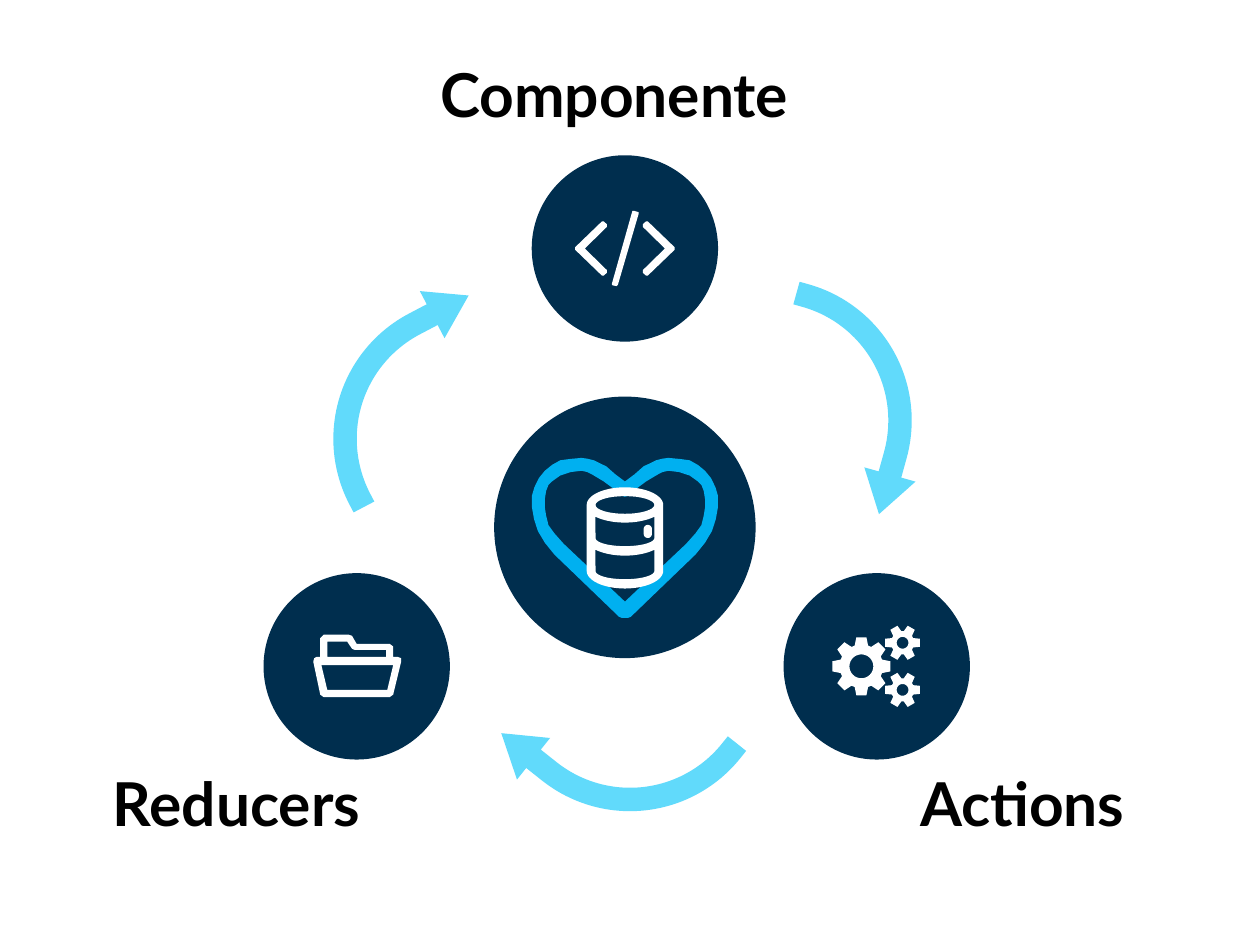
from dataclasses import dataclass
from math import cos, pi, radians, sin

from pptx import Presentation
from pptx.dml.color import RGBColor
from pptx.enum.shapes import MSO_SHAPE
from pptx.enum.text import MSO_ANCHOR, MSO_AUTO_SIZE, PP_ALIGN
from pptx.util import Pt


@dataclass(frozen=True)
class Theme:
    navy: RGBColor = RGBColor(0x00, 0x2E, 0x4E)
    cyan: RGBColor = RGBColor(0x61, 0xDA, 0xFB)
    blue: RGBColor = RGBColor(0x00, 0xB0, 0xF0)
    white: RGBColor = RGBColor(0xFF, 0xFF, 0xFF)
    black: RGBColor = RGBColor(0x00, 0x00, 0x00)
    font: str = "Lato"
    size: int = 37


THEME = Theme()
UNITS = 100  # freeform steps per point


# Outlines, in points around the centre of a circle
def arc(x, y, wide, high, start=0, end=360, steps=32):
    turns = [radians(start + (end - start) * i / steps) for i in range(steps + 1)]
    return [(x + wide * cos(t), y + high * sin(t)) for t in turns]


def flip(points):
    return [(-x, y) for x, y in reversed(points)]


def gear(x, y, teeth, tip, root, hole):
    pitch = 2 * pi / teeth
    rim = []
    for i in range(teeth):
        for part, r in ((-0.4, root), (-0.22, tip), (0.22, tip), (0.4, root)):
            turn = (i + part) * pitch
            rim.append((x + r * cos(turn), y + r * sin(turn)))
    return [rim, arc(x, y, hole, hole)]


def panel(top, base):
    """A curved panel of the barrel; top and base are its middle heights."""
    return arc(0, top - 12.3, 25.5, 12.3, 135, 45) + arc(0, base - 5, 18, 5, 0, 180)


CHEVRON = [(-14, -16.6), (-30.5, -0.7), (-30.5, 0.7), (-14, 16.6), (-12.9, 16.6),
           (-11, 14.8), (-11, 13.2), (-24.5, 0), (-11, -13.2), (-11, -14.8),
           (-12.9, -16.6)]
SLASH = [(4.6, -23), (5.8, -23), (8.5, -22.2), (8.5, -21.4), (-4.3, 22.3),
         (-5.2, 23), (-7.6, 22.5), (-8, 21.8)]
CODE = [CHEVRON, flip(CHEVRON), SLASH]

GEARS = (gear(-9.4, 0, 8, 18, 13.3, 7.3)
         + gear(15.8, -14.4, 6, 10.9, 7.1, 3.6)
         + gear(15.8, 14.4, 6, 10.9, 7.1, 3.6))

FOLDER = [
    [(27.2, -5), (25, -5.8), (22.3, -5.8), (22.3, -12.2), (20.2, -13.7), (0, -13.7),
     (-2.9, -18.7), (-5, -19.4), (-20.2, -19.4), (-22.3, -17.3), (-22.3, -5.8),
     (-24.5, -5.8), (-26, -5), (-26.6, -2.9), (-22.3, 17.3), (-20.2, 18.8),
     (20.2, 18.8), (22.3, 17.3), (27.2, -2.9)],
    [(-18, -15.1), (-5.8, -15.1), (-2.9, -10.8), (-1.4, -10.1), (18, -10.1),
     (18, -5.8), (-18, -5.8)],
    [(18.7, 14.4), (-18, 14.4), (-21.6, -0.7), (22.3, -0.7)],
]

OUTER = [(0, -28.1), (5.8, -32.4), (11.5, -37.4), (15, -39), (19, -41), (23, -42),
         (26.6, -42.5), (33.8, -41.8), (39.6, -41), (44.6, -38.2), (49, -34.6),
         (52.6, -30.2), (55.4, -24.5), (56.9, -19.4), (56.9, -12.2), (55.6, -5),
         (53.3, 2.2), (49, 9.4), (43.2, 16.6), (3.6, 54.7), (1.8, 55.4)]
INNER = [(0, -18.7), (2.2, -19.4), (3.6, -20.2), (7.2, -23.8), (13, -28.1),
         (20.2, -32.4), (23, -33.8), (26.6, -34.6), (33.1, -33.8), (39.6, -31.7),
         (44.6, -28.1), (46.8, -25.9), (48.2, -22.3), (49, -17.3), (49, -12.2),
         (48.2, -7.2), (46.8, -1.4), (43.2, 3.6), (37.4, 10.1), (0, 45.4)]
HEART = [half + flip(half) for half in (OUTER, INNER)]

BARREL = [
    arc(0, -13.7, 23.4, 10.8, 180, 360) + arc(0, 26.6, 23.4, 10.8, 0, 180),
    arc(0, -13.7, 18, 5.4),
    panel(-2.9, 11.5),
    panel(17.3, 31.7),
    arc(14, 1, 2.5, 2.5, 180, 360) + arc(14, 4, 2.5, 2.5, 0, 180),
]


def paint(shape, color):
    shape.shadow.inherit = False
    shape.fill.solid()
    shape.fill.fore_color.rgb = color
    shape.line.fill.background()


def disc(slide, box):
    paint(slide.shapes.add_shape(MSO_SHAPE.OVAL, *map(Pt, box)), THEME.navy)


def icon(slide, box, paths, color):
    left, top, width, height = box
    mid_x, mid_y = left + width / 2, top + height / 2
    pen = None
    for path in paths:
        first, *rest = [((mid_x + x) * UNITS, (mid_y + y) * UNITS) for x, y in path]
        if pen is None:
            pen = slide.shapes.build_freeform(*first, scale=Pt(1) / UNITS)
        else:
            pen.move_to(*first)
        pen.add_line_segments(rest, close=True)
    paint(pen.convert_to_shape(), color)


# Regions
def hub(slide, box):
    disc(slide, box)
    icon(slide, box, HEART, THEME.blue)
    icon(slide, box, BARREL, THEME.white)


def node(slide, box, paths):
    disc(slide, box)
    icon(slide, box, paths, THEME.white)


def arrow(slide, box, turn):
    shape = slide.shapes.add_shape(MSO_SHAPE.BENT_ARROW, *map(Pt, box))
    for i, value in enumerate((0.142, 0.161, 0.249, 0.857)):
        shape.adjustments[i] = value
    shape.rotation = turn
    paint(shape, THEME.cyan)


def label(shape, box, text):
    shape.left, shape.top, shape.width, shape.height = map(Pt, box)
    frame = shape.text_frame
    frame.word_wrap = True
    frame.auto_size = MSO_AUTO_SIZE.NONE
    frame.vertical_anchor = MSO_ANCHOR.TOP
    frame.margin_left = frame.margin_top = frame.margin_right = frame.margin_bottom = 0
    line = frame.paragraphs[0]
    line.alignment = PP_ALIGN.LEFT
    line.line_spacing = 0.9
    run = line.add_run()
    run.text = text
    run.font.name = THEME.font
    run.font.size = Pt(THEME.size)
    run.font.bold = True
    run.font.color.rgb = THEME.black


def cycle(slide):
    # Circles
    hub(slide, (302.4, 242.6, 160, 160))
    for left, top, paths in ((325.4, 95, CODE), (479.5, 350.6, GEARS),
                             (161.3, 350.6, FOLDER)):
        node(slide, (left, top, 114, 114), paths)

    # Arrows
    for left, top, turn in ((459.4, 195.1, 105.5), (314.6, 409.7, 218.5),
                            (185.8, 189.4, 332.3)):
        arrow(slide, (left, top, 124, 101), turn)

    # Labels
    label(slide.shapes.title, (269.3, 39.6, 227, 50), "Componente")
    for left, width, text in ((69.1, 188, "Reducers"), (563, 156, "Actions")):
        box = (left, 473.8, width, 50)
        label(slide.shapes.add_textbox(*map(Pt, box)), box, text)


def main():
    deck = Presentation()
    deck.slide_width, deck.slide_height = Pt(771), Pt(578)
    cycle(deck.slides.add_slide(deck.slide_layouts[5]))
    deck.save("out.pptx")


if __name__ == "__main__":
    main()
